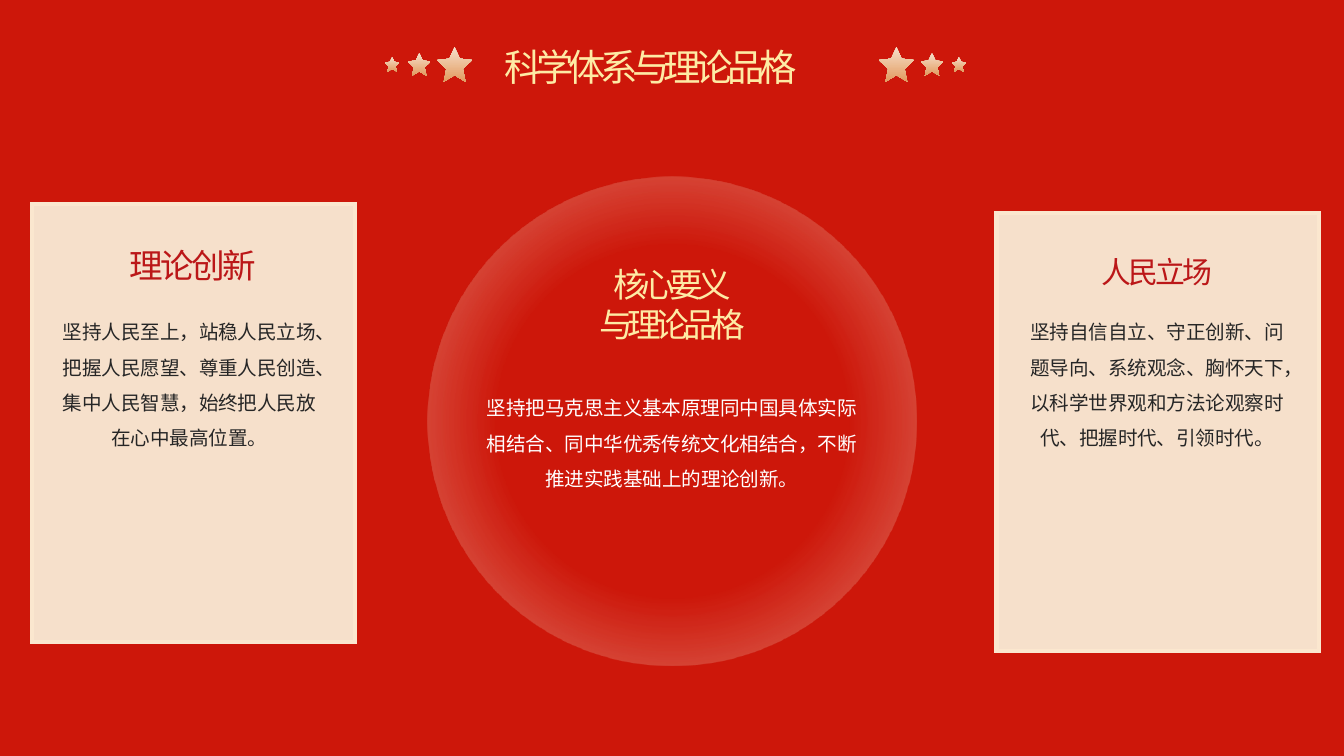
from lxml import etree
from pptx import Presentation
from pptx.dml.color import RGBColor
from pptx.enum.shapes import MSO_SHAPE
from pptx.enum.text import PP_ALIGN
from pptx.oxml.ns import qn
from pptx.util import Inches, Pt

CENTER, JUSTIFY = PP_ALIGN.CENTER, PP_ALIGN.JUSTIFY
RECT, OVAL, STAR = MSO_SHAPE.RECTANGLE, MSO_SHAPE.OVAL, MSO_SHAPE.STAR_5_POINT

THEME = {
    "red": "CD170A", "cream": "F6E0CB", "edge": "FBE7CF", "bronze": "E29B60",
    "gold": "FEEBA5", "crimson": "BB1718", "ink": "262626", "white": "FFFFFF",
    "head_font": "Noto Sans CJK SC", "body_font": "Calibri",
    "title": 20, "head": 18, "small_head": 16, "body": 10.5,
}
COLS, ROWS = 100, 56.25
CELL = Inches(10) / COLS


def paint(fill, *names):
    if len(names) == 1:
        fill.solid()
        fill.fore_color.rgb = RGBColor.from_string(THEME[names[0]])
        return
    fill.gradient()
    fill.gradient_angle = 270
    for stop, name in zip(fill.gradient_stops, names):
        stop.color.rgb = RGBColor.from_string(THEME[name])


def add_text(box, lines, size, colors, spacing=0, align=CENTER):
    tf = s.shapes.add_textbox(*[round(v * CELL) for v in box]).text_frame
    tf.word_wrap = True
    for i, line in enumerate(lines):
        p = tf.add_paragraph() if i else tf.paragraphs[0]
        p.alignment = align
        if size == "body":
            p.line_spacing = 1.5
        r = p.add_run()
        r.text = line
        r.font.size = Pt(THEME[size])
        r.font.name = THEME["body_font" if size == "body" else "head_font"]
        paint(r.font.fill, *colors)
        if spacing:
            r._r.get_or_add_rPr().set("spc", str(round(spacing * 100)))


prs = Presentation()
prs.slide_width = round(COLS * CELL)
prs.slide_height = round(ROWS * CELL)
s = prs.slides.add_slide(prs.slide_layouts[6])
paint(s.background.fill, "red")

sp = s.shapes.add_shape(OVAL, *[round(v * CELL) for v in (31.8, 13.15, 36.4, 36.4)])
sp.shadow.inherit = False
sp.line.fill.background()
paint(sp.fill, "cream", "cream")
grad = sp._element.spPr.find(qn("a:gradFill"))
for gs, pos, alpha in zip(grad.iter(qn("a:gs")), (51, 100), (0, 53)):
    gs.set("pos", str(pos * 1000))
    etree.SubElement(gs[0], qn("a:alpha")).set("val", str(alpha * 1000))
grad.remove(grad.find(qn("a:lin")))
focus = etree.SubElement(grad, qn("a:path"), path="circle")
etree.SubElement(focus, qn("a:fillToRect"), l="50000", t="50000", r="50000", b="50000")

STAR_MID = 4.78
for stars in (((32.53, 2.6), (30.35, 1.7), (28.63, 1.1)),
              ((65.4, 2.6), (68.5, 1.7), (70.8, 1.1))):
    group = s.shapes.add_group_shape()
    for x, size in stars:
        box = (x, STAR_MID - size / 2, size, size)
        sp = group.shapes.add_shape(STAR, *[round(v * CELL) for v in box])
        sp.adjustments[0] = 0.236
        sp.shadow.inherit = False
        sp.line.fill.background()
        paint(sp.fill, "cream", "bronze")

add_text((32.85, 19.13, 34.3, 7.1), ("核心要义", "与理论品格"), "head", ("gold", "bronze"), -3)
add_text((34.9, 28.12, 30.2, 14.3),
         ("坚持把马克思主义基本原理同中国具体实际相结合、同中华优秀传统文化相结合，不断推进实践基础上的理论创新。",),
         "body", ("white",))

cards = (
    ((2.4, 15.2), 3.4, (3.9, 17.74, 20.9, 4), "理论创新", "head",
     "坚持人民至上，站稳人民立场、把握人民愿望、尊重人民创造、集中人民智慧，始终把人民放在心中最高位置。"),
    ((74.15, 15.87), 75.4, (75.6, 18.4, 20.9, 3.7), "人民立场", "small_head",
     "坚持自信自立、守正创新、问题导向、系统观念、胸怀天下，以科学世界观和方法论观察时代、把握时代、引领时代。"),
)
for corner, body_x, head_box, head, head_size, body in cards:
    sp = s.shapes.add_shape(RECT, *[round(v * CELL) for v in (*corner, 24, 32.6)])
    sp.shadow.inherit = False
    paint(sp.fill, "cream")
    paint(sp.line.fill, "edge")
    sp.line.width = Pt(2.25)
    etree.SubElement(sp._element.spPr.find(qn("a:ln")), qn("a:miter"), lim="800000")
    add_text((body_x, 22.46, 21.4, 19.5), (body,), "body", ("ink",))
    add_text(head_box, (head,), head_size, ("crimson",), -1.5)

add_text((36.58, 2.8, 26.8, 4.4), ("科学体系与理论品格",), "title", ("gold", "bronze"), -3, JUSTIFY)

prs.save("out.pptx")
